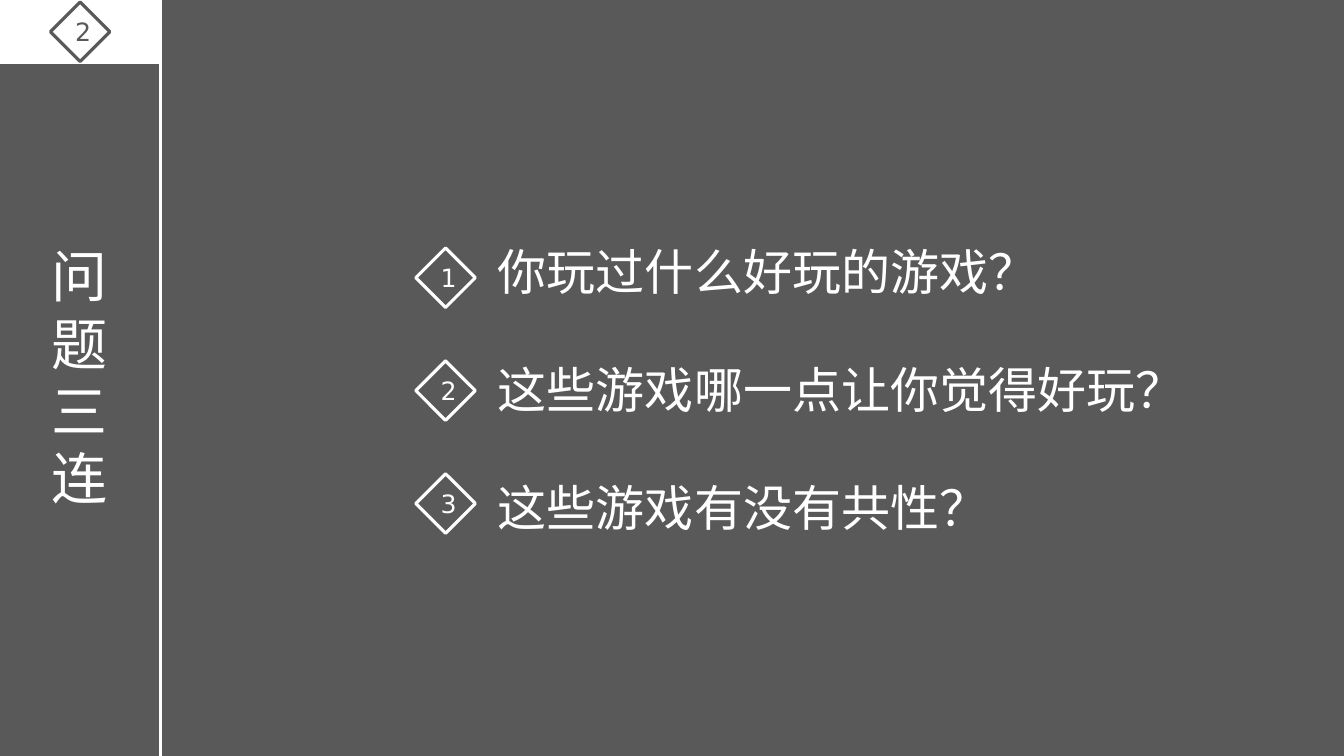
from typing import NamedTuple

from lxml.etree import SubElement
from pptx import Presentation
from pptx.dml.color import RGBColor
from pptx.enum.shapes import MSO_CONNECTOR as Connector, MSO_SHAPE as Shape
from pptx.enum.text import MSO_ANCHOR as Anchor, MSO_AUTO_SIZE as AutoSize, PP_ALIGN as Align
from pptx.oxml.ns import qn
from pptx.util import Inches, Pt

GREY = RGBColor(0x59, 0x59, 0x59)
WHITE = RGBColor(0xFF, 0xFF, 0xFF)
FONT = "DejaVu Sans"

COLS, ROWS = 160, 90
CELL = Inches(7.5) / ROWS
SIDEBAR = 19.08
BADGE = 7.08
BADGE_COL, BADGE_ROW, BADGE_STEP = 49.5, 29.52, 13.44
QUESTIONS = ["你玩过什么好玩的游戏？", "这些游戏哪一点让你觉得好玩？", "这些游戏有没有共性？"]


class Box(NamedTuple):
    col: float
    row: float
    cols: float
    rows: float

    def emu(self) -> list[int]:
        return [grid(v) for v in self]


class Badge(NamedTuple):
    label: str
    col: float
    row: float
    color: RGBColor


def grid(cells: float) -> int:
    return round(cells * CELL)


def write(tf, lines: list[str], *, size: float, color: RGBColor = WHITE,
          align=Align.LEFT, anchor=Anchor.TOP, gap: float = 0) -> None:
    """Fill a text frame with unbulleted paragraphs, gap points apart."""
    tf.word_wrap = True
    tf.auto_size = AutoSize.NONE
    tf.vertical_anchor = anchor
    for i, line in enumerate(lines):
        p = tf.paragraphs[0] if i == 0 else tf.add_paragraph()
        p.alignment = align
        p.space_before = Pt(gap if i else 0)
        pPr = p._p.get_or_add_pPr()
        pPr.set("marL", "0")
        pPr.set("indent", "0")
        SubElement(pPr, qn("a:buNone"))
        r = p.add_run()
        r.text = line
        r.font.size = Pt(size)
        r.font.name = FONT
        r.font.color.rgb = color
        SubElement(r._r.get_or_add_rPr(), qn("a:ea"), typeface=FONT)


def place(sp, box: Box) -> None:
    sp.left, sp.top, sp.width, sp.height = box.emu()


def add_shape(s, kind, box: Box, line: RGBColor, width: float, fill: RGBColor | None = None):
    sp = s.shapes.add_shape(kind, *box.emu())
    sp.shadow.inherit = False
    if fill is None:
        sp.fill.background()
    else:
        sp.fill.solid()
        sp.fill.fore_color.rgb = fill
    sp.line.color.rgb = line
    sp.line.width = Pt(width)
    return sp


def add_badge(s, badge: Badge) -> None:
    box = Box(badge.col, badge.row, BADGE, BADGE)
    sp = add_shape(s, Shape.DIAMOND, box, badge.color, 2.25)
    write(sp.text_frame, [badge.label], size=18, color=badge.color,
          align=Align.CENTER, anchor=Anchor.MIDDLE)


def add_divider(s) -> None:
    x = grid(SIDEBAR)
    line = s.shapes.add_connector(Connector.STRAIGHT, x, 0, x, grid(ROWS))
    line.line.color.rgb = WHITE
    line.line.width = Pt(2.25)
    SubElement(line._element.spPr, qn("a:effectLst"))


def main() -> None:
    prs = Presentation()
    prs.slide_width, prs.slide_height = grid(COLS), grid(ROWS)
    s = prs.slides.add_slide(prs.slide_layouts[1])
    s.background.fill.solid()
    s.background.fill.fore_color.rgb = GREY

    title, body = s.placeholders
    place(title, Box(3.36, 28.2, 12.24, 33.48))
    write(title.text_frame, ["问题三连"], size=40, align=Align.CENTER)
    place(body, Box(58.08, 28.2, 83.28, 36.6))
    write(body.text_frame, QUESTIONS, size=35, gap=42)

    add_divider(s)
    add_shape(s, Shape.RECTANGLE, Box(0, 0, SIDEBAR, 7.56), WHITE, 1.5, fill=WHITE)
    badges = [Badge("2", 6, 0.24, GREY)]
    badges += [Badge(str(i + 1), BADGE_COL, BADGE_ROW + i * BADGE_STEP, WHITE)
               for i in range(len(QUESTIONS))]
    for badge in badges:
        add_badge(s, badge)

    prs.save("out.pptx")


if __name__ == "__main__":
    main()
